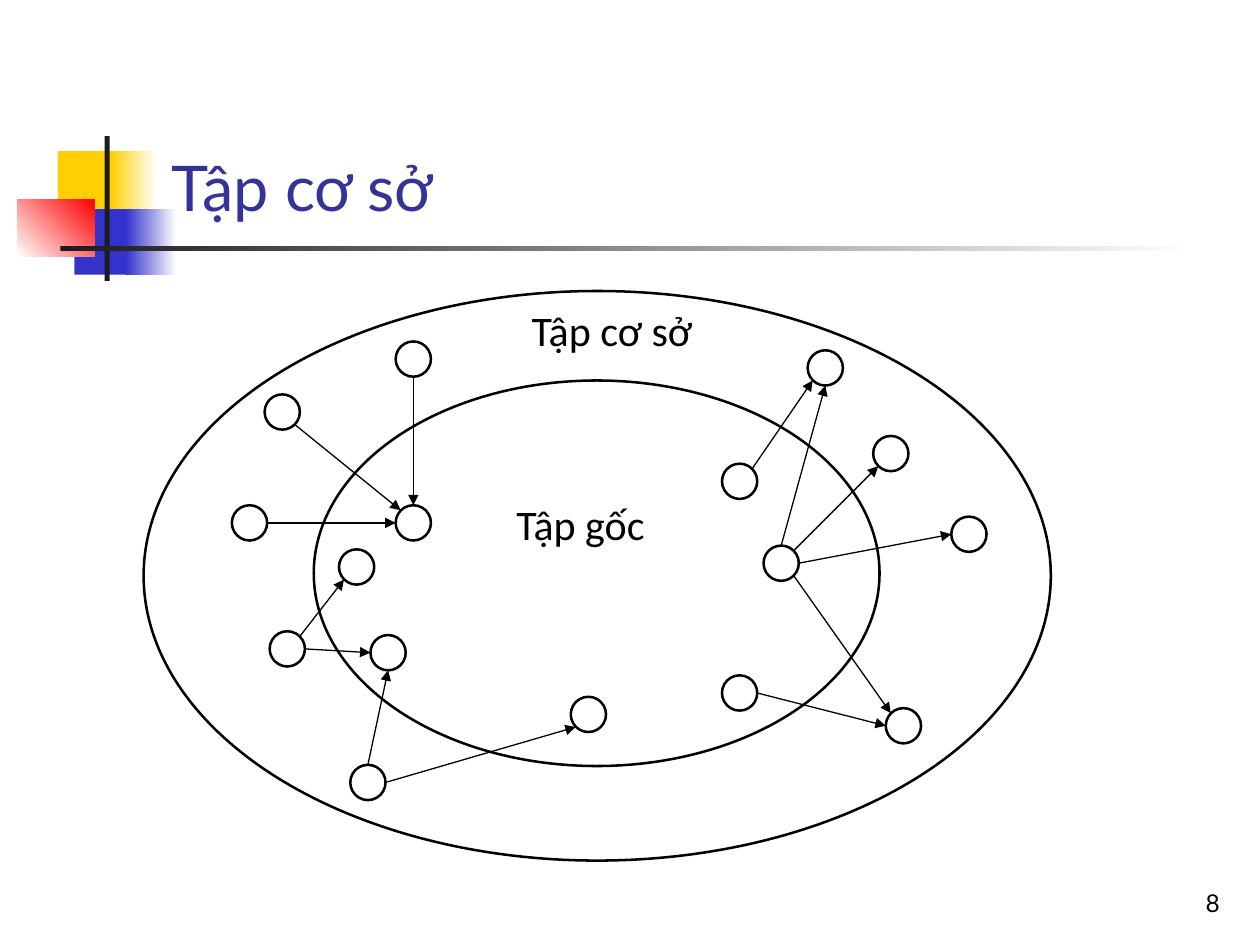
from dataclasses import dataclass

from lxml import etree
from pptx import Presentation
from pptx import util as u
from pptx.dml import color as c
from pptx.enum import shapes, text
from pptx.oxml import ns

SCALE = 9144
NODE = 28


@dataclass(frozen=True)
class Theme:
    ink: str = "000000"
    paper: str = "FFFFFF"
    title: str = "333399"
    yellow: str = "FFCF01"
    blue: str = "3333CC"
    red: str = "FF0000"
    rule: str = "1C1C1C"
    heading_font: str = "Lato"
    label_font: str = "Calibri"
    title_size: int = 36
    label_size: int = 24
    number_size: int = 14
    outline: float = 1.45
    arrow: float = 0.75


def px(value):
    return u.Emu(round(value * SCALE))


def rgb(value):
    return c.RGBColor.from_string(value)


class Canvas:
    def __init__(self, slide, theme):
        self.slide = slide
        self.theme = theme

    def shape(self, kind, box):
        shape = self.slide.shapes.add_shape(kind, *map(px, box))
        shape.shadow.inherit = False
        return shape

    def bar(self, box, start, end=None, angle=0):
        shape = self.shape(shapes.MSO_SHAPE.RECTANGLE, box)
        shape.line.fill.background()
        if end is None:
            shape.fill.solid()
            shape.fill.fore_color.rgb = rgb(start)
            return
        shape.fill.gradient()
        shape.fill.gradient_angle = angle
        for stop, value in zip(shape.fill.gradient_stops, (start, end)):
            stop.color.rgb = rgb(value)

    def ellipse(self, box):
        shape = self.shape(shapes.MSO_SHAPE.OVAL, box)
        shape.fill.background()
        shape.line.color.rgb = rgb(self.theme.ink)
        shape.line.width = u.Pt(self.theme.outline)

    def arrow(self, start, end):
        connector = self.slide.shapes.add_connector(
            shapes.MSO_CONNECTOR.STRAIGHT, *map(px, (*start, *end)))
        connector.line.color.rgb = rgb(self.theme.ink)
        connector.line.width = u.Pt(self.theme.arrow)
        line = connector.line._get_or_add_ln()
        etree.SubElement(line, ns.qn("a:tailEnd"), type="triangle")
        etree.SubElement(connector._element.spPr, ns.qn("a:effectLst"))

    def text(self, box, words, font, size, color,
             anchor=text.MSO_ANCHOR.TOP, align=text.PP_ALIGN.LEFT):
        frame = self.slide.shapes.add_textbox(*map(px, box)).text_frame
        frame.word_wrap = True
        frame.vertical_anchor = anchor
        paragraph = frame.paragraphs[0]
        paragraph.text = words
        paragraph.alignment = align
        paragraph.font.name = font
        paragraph.font.size = u.Pt(size)
        paragraph.font.color.rgb = rgb(color)


NODES = {
    "base_top": (314, 271),
    "base_upper_left": (210, 313),
    "base_left": (184, 401),
    "root_upper_left": (314, 401),
    "base_lower_left": (214, 501),
    "root_left": (269, 436),
    "root_lower_left": (294, 504),
    "base_bottom": (278, 607),
    "root_bottom": (453, 553),
    "root_upper_right": (573, 368),
    "base_upper_right": (641, 278),
    "base_right": (693, 346),
    "root_right": (606, 433),
    "base_far_right": (755, 410),
    "root_lower_right": (573, 536),
    "base_lower_right": (703, 562),
}

SITES = {
    "n": (14, 0), "ne": (24, 4), "e": (28, 14), "se": (24, 24),
    "s": (14, 28), "sw": (4, 24), "w": (0, 14), "nw": (4, 4),
}

LINKS = [
    ("base_upper_left", "se", "root_upper_left", "nw"),
    ("base_left", "e", "root_upper_left", "w"),
    ("base_top", "s", "root_upper_left", "n"),
    ("base_lower_left", "ne", "root_left", "sw"),
    ("base_lower_left", "e", "root_lower_left", "w"),
    ("base_bottom", "n", "root_lower_left", "s"),
    ("base_bottom", "e", "root_bottom", "sw"),
    ("root_upper_right", "ne", "base_upper_right", "sw"),
    ("root_right", "n", "base_upper_right", "s"),
    ("root_right", "ne", "base_right", "sw"),
    ("root_right", "e", "base_far_right", "w"),
    ("root_right", "se", "base_lower_right", "nw"),
    ("root_lower_right", "e", "base_lower_right", "w"),
]


def site(node, side):
    return tuple(a + b for a, b in zip(NODES[node], SITES[side]))


def draw_decoration(canvas):
    theme = canvas.theme
    canvas.bar((46, 120, 48, 52), theme.yellow)
    canvas.bar((88, 120, 36, 52), theme.yellow, theme.paper)
    canvas.bar((59, 166, 46, 52), theme.blue)
    canvas.bar((100, 166, 40, 52), theme.blue, theme.paper)
    canvas.bar((14, 158, 61, 46), theme.paper, theme.red, 45)
    canvas.bar((83, 108, 4, 115), theme.rule)
    canvas.bar((48, 195, 900, 4), theme.rule, theme.paper)


def draw_graph(canvas):
    theme = canvas.theme
    canvas.ellipse((249, 302, 449, 306))
    for corner in NODES.values():
        canvas.ellipse((*corner, NODE, NODE))
    canvas.ellipse((114, 231, 720, 452))
    for source, leave, target, enter in LINKS:
        canvas.arrow(site(source, leave), site(target, enter))
    for box, words in (((400, 391, 131, 50), "Tập gốc"),
                       ((412, 237, 165, 50), "Tập cơ sở")):
        canvas.text(box, words, theme.label_font, theme.label_size,
                    theme.ink)


def main():
    presentation = Presentation()
    presentation.slide_width = px(1000)
    presentation.slide_height = px(750)
    slide = presentation.slides.add_slide(presentation.slide_layouts[6])
    theme = Theme()
    canvas = Canvas(slide, theme)
    draw_decoration(canvas)
    canvas.text((770, 683, 208, 50), "8", theme.heading_font,
                theme.number_size, theme.ink,
                anchor=text.MSO_ANCHOR.BOTTOM, align=text.PP_ALIGN.RIGHT)
    canvas.text((126, 23, 852, 160), "Tập cơ sở", theme.heading_font,
                theme.title_size, theme.title,
                anchor=text.MSO_ANCHOR.BOTTOM)
    draw_graph(canvas)
    presentation.save("out.pptx")


if __name__ == "__main__":
    main()
